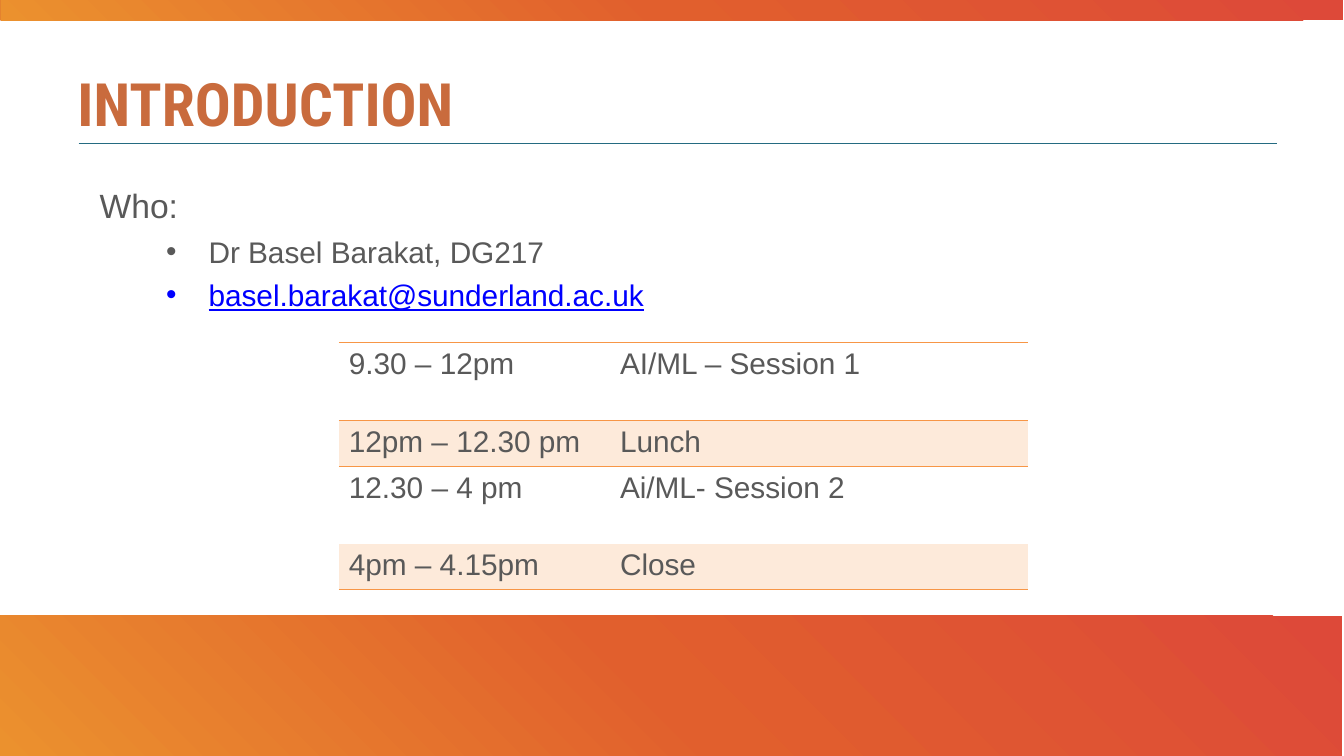
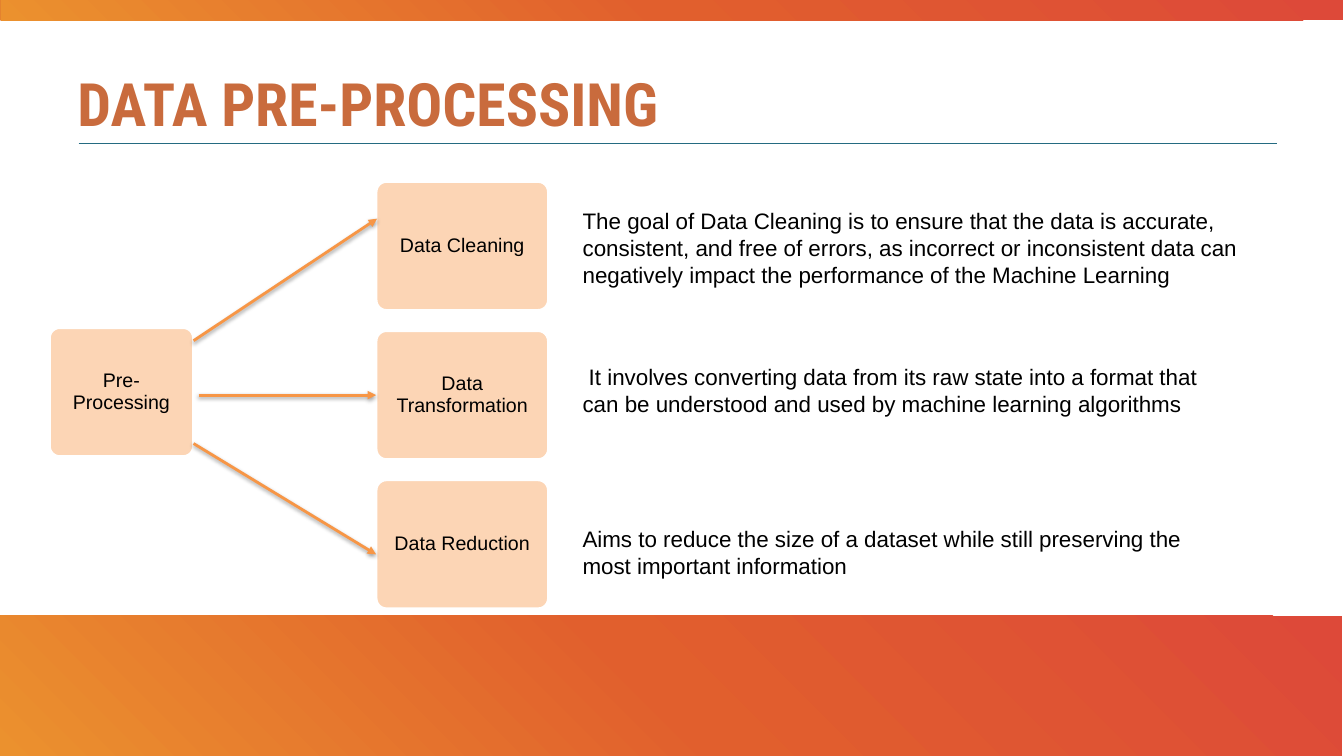
import dataclasses

import pptx
import pptx.dml.color
import pptx.enum.shapes
import pptx.enum.text
import pptx.oxml
import pptx.oxml.ns
import pptx.util

Inches = pptx.util.Inches
Pt = pptx.util.Pt
ANCHOR = pptx.enum.text.MSO_ANCHOR
ALIGN = pptx.enum.text.PP_ALIGN
SHAPE = pptx.enum.shapes.MSO_SHAPE
NAMESPACE = pptx.oxml.ns.nsdecls("a")


@dataclasses.dataclass(frozen=True)
class Theme:
    heading_font: str = "Roboto Condensed"
    body_font: str = "Arial"
    heading: str = "C96B3D"
    rule: str = "246B81"
    body: str = "595959"
    link: str = "0000FF"
    black: str = "000000"
    white: str = "FFFFFF"
    accent: str = "F79646"
    stripe: str = "FDEADA"
    step: str = "FCD5B5"
    band_stops: tuple = ((0, "EB912E"), (49, "E15F2D"), (100, "DD4939"))
    heading_size: float = 42.7
    lead_size: float = 24
    body_size: float = 21.3
    note_size: float = 16
    step_size: float = 14


THEME = Theme()


def rgb(value):
    return pptx.dml.color.RGBColor.from_string(value)


def element(xml):
    tag, rest = xml[1:].split(" ", 1)
    return pptx.oxml.parse_xml(f"<{tag} {NAMESPACE} {rest}")


def style(paragraph, size, color, font=THEME.body_font, bold=None, underline=None):
    for run in paragraph.runs:
        run.font.name = font
        run.font.size = Pt(size)
        run.font.color.rgb = rgb(color)
        run.font.bold = bold
        run.font.underline = underline


def add_text(slide, box, text, size, color):
    frame = slide.shapes.add_textbox(*map(Inches, box)).text_frame
    frame.word_wrap = True
    frame.text = text
    style(frame.paragraphs[0], size, color)
    return frame


def add_band(slide, box):
    band = slide.shapes.add_shape(SHAPE.RECTANGLE, *map(Inches, box))
    band.shadow.inherit = False
    band.line.fill.background()
    band.fill.background()
    stops = "".join(
        f'<a:gs pos="{position * 1000}"><a:srgbClr val="{color}"/></a:gs>'
        for position, color in THEME.band_stops
    )
    gradient = element(
        f'<a:gradFill rotWithShape="1"><a:gsLst>{stops}</a:gsLst>'
        '<a:path path="circle"><a:fillToRect t="100000" r="100000"/></a:path></a:gradFill>'
    )
    properties = band.element.spPr
    properties.replace(properties.find(pptx.oxml.ns.qn("a:noFill")), gradient)


def add_line(slide, start, end, color, width):
    line = slide.shapes.add_connector(
        pptx.enum.shapes.MSO_CONNECTOR.STRAIGHT, *map(Inches, start + end)
    )
    line.line.color.rgb = rgb(color)
    line.line.width = Pt(width)
    effects = element("<a:effectLst />")
    line.element.spPr.append(effects)
    return line, effects


def add_arrow(slide, start, end):
    arrow, effects = add_line(slide, start, end, THEME.accent, 2)
    arrow.line._get_or_add_ln().append(element('<a:tailEnd type="triangle"/>'))
    effects.append(element(
        f'<a:outerShdw blurRad="{Pt(3.1)}" dist="{Pt(1.6)}" dir="5400000" rotWithShape="0">'
        f'<a:srgbClr val="{THEME.black}"><a:alpha val="38000"/></a:srgbClr></a:outerShdw>'
    ))


def add_titled_slide(deck, title):
    slide = deck.slides.add_slide(deck.slide_layouts[6])
    add_band(slide, (0.01, -0.03, 13.31, 0.23))
    add_band(slide, (0, 6.11, 13.31, 1.39))
    add_line(slide, (0.78, 1.42), (12.67, 1.42), THEME.rule, 0.75)
    frame = add_text(slide, (0.67, 0.86, 12, 0.56), title, THEME.heading_size, THEME.heading)
    frame.vertical_anchor = ANCHOR.BOTTOM
    heading = frame.paragraphs[0]
    heading.line_spacing = Pt(29.3)
    style(heading, THEME.heading_size, THEME.heading, THEME.heading_font, bold=True)
    return slide


def add_bullet(frame, text, color, underline=None):
    paragraph = frame.add_paragraph()
    paragraph.text = text
    properties = paragraph._p.get_or_add_pPr()
    properties.set("marL", str(Inches(1.08)))
    properties.set("indent", str(Inches(-0.42)))
    properties.append(element('<a:buFont typeface="Arial"/>'))
    properties.append(element('<a:buChar char="•"/>'))
    paragraph.space_before = Pt(5.5)
    style(paragraph, THEME.body_size, color, underline=underline)


def add_cell_rules(cell, sides):
    properties = cell._tc.get_or_add_tcPr()
    for index, side in enumerate(sides):
        properties.insert(index, element(
            f'<a:ln{side} w="{Pt(1)}"><a:solidFill><a:srgbClr val="{THEME.accent}"/>'
            f"</a:solidFill></a:ln{side}>"
        ))


def add_schedule(slide, left, top, widths, heights, sessions):
    schedule = slide.shapes.add_table(
        len(sessions), len(widths), Inches(left), Inches(top),
        Inches(sum(widths)), Inches(sum(heights)),
    ).table
    schedule.first_row = False
    schedule.horz_banding = False
    style_id = schedule._tbl.tblPr.find(pptx.oxml.ns.qn("a:tableStyleId"))
    style_id.text = "{2D5ABB26-0587-4C30-8999-92F81FD0307C}"
    for column, width in zip(schedule.columns, widths):
        column.width = Inches(width)
    rules = {0: "TB", 1: "T", len(sessions) - 1: "B"}
    for row, (height, session) in enumerate(zip(heights, sessions)):
        schedule.rows[row].height = Inches(height)
        for column, text in enumerate(session):
            cell = schedule.cell(row, column)
            cell.text = text
            style(cell.text_frame.paragraphs[0], THEME.body_size, THEME.body)
            cell.fill.solid()
            cell.fill.fore_color.rgb = rgb(THEME.stripe if row % 2 else THEME.white)
            add_cell_rules(cell, rules.get(row, ""))


def add_step(slide, box, label):
    step = slide.shapes.add_shape(SHAPE.ROUNDED_RECTANGLE, *map(Inches, box))
    step.adjustments[0] = 0.08
    step.shadow.inherit = False
    step.fill.solid()
    step.fill.fore_color.rgb = rgb(THEME.step)
    step.line.color.rgb = rgb(THEME.white)
    step.line.width = Pt(2)
    frame = step.text_frame
    frame.word_wrap = True
    frame.vertical_anchor = ANCHOR.MIDDLE
    frame.margin_left = frame.margin_right = Inches(0.02)
    frame.margin_top = frame.margin_bottom = Inches(0.02)
    frame.text = label
    paragraph = frame.paragraphs[0]
    paragraph.alignment = ALIGN.CENTER
    paragraph.line_spacing = 0.9
    style(paragraph, THEME.step_size, THEME.black)


def build_introduction(deck):
    slide = add_titled_slide(deck, "INTRODUCTION")
    contact = add_text(slide, (0.89, 1.79, 11.78, 1.4), "Who:", THEME.lead_size, THEME.body)
    add_bullet(contact, "Dr Basel Barakat, DG217", THEME.body)
    add_bullet(contact, "basel.barakat@sunderland.ac.uk", THEME.link, underline=True)
    sessions = (
        ("9.30 – 12pm", "AI/ML – Session 1"),
        ("12pm – 12.30 pm", "Lunch"),
        ("12.30 – 4 pm", "Ai/ML- Session 2"),
        ("4pm – 4.15pm", "Close"),
    )
    add_schedule(slide, 3.36, 3.4, (2.69, 4.15), (0.77, 0.43) * 2, sessions)


def build_pre_processing(deck):
    slide = add_titled_slide(deck, "DATA PRE-PROCESSING")
    step_height = 1.28
    add_step(slide, (0.49, 3.25, 1.43, step_height), "Pre-Processing")
    steps = (
        ("Data Cleaning", (1.92, 3.38), (3.74, 2.17), (5.68, 2.01, 7.22, 0.91),
         "The goal of Data Cleaning is to ensure that the data is accurate, consistent, "
         "and free of errors, as incorrect or inconsistent data can negatively impact "
         "the performance of the Machine Learning"),
        ("Data Transformation", (1.97, 3.92), (3.73, 3.92), (5.68, 3.55, 6.67, 0.64),
         " It involves converting data from its raw state into a format that can be "
         "understood and used by machine learning algorithms"),
        ("Data Reduction", (1.92, 4.4), (3.73, 5.5), (5.68, 5.16, 6.67, 0.64),
         "Aims to reduce the size of a dataset while still preserving the most "
         "important information"),
    )
    for index, (label, start, end, note_box, note) in enumerate(steps):
        add_step(slide, (3.73, 1.8 + 1.48 * index, 1.71, step_height), label)
        add_arrow(slide, start, end)
        add_text(slide, note_box, note, THEME.note_size, THEME.black)


def main():
    deck = pptx.Presentation()
    deck.slide_width = Inches(13.33)
    deck.slide_height = Inches(7.5)
    build_introduction(deck)
    build_pre_processing(deck)
    deck.save("out.pptx")


if __name__ == "__main__":
    main()
